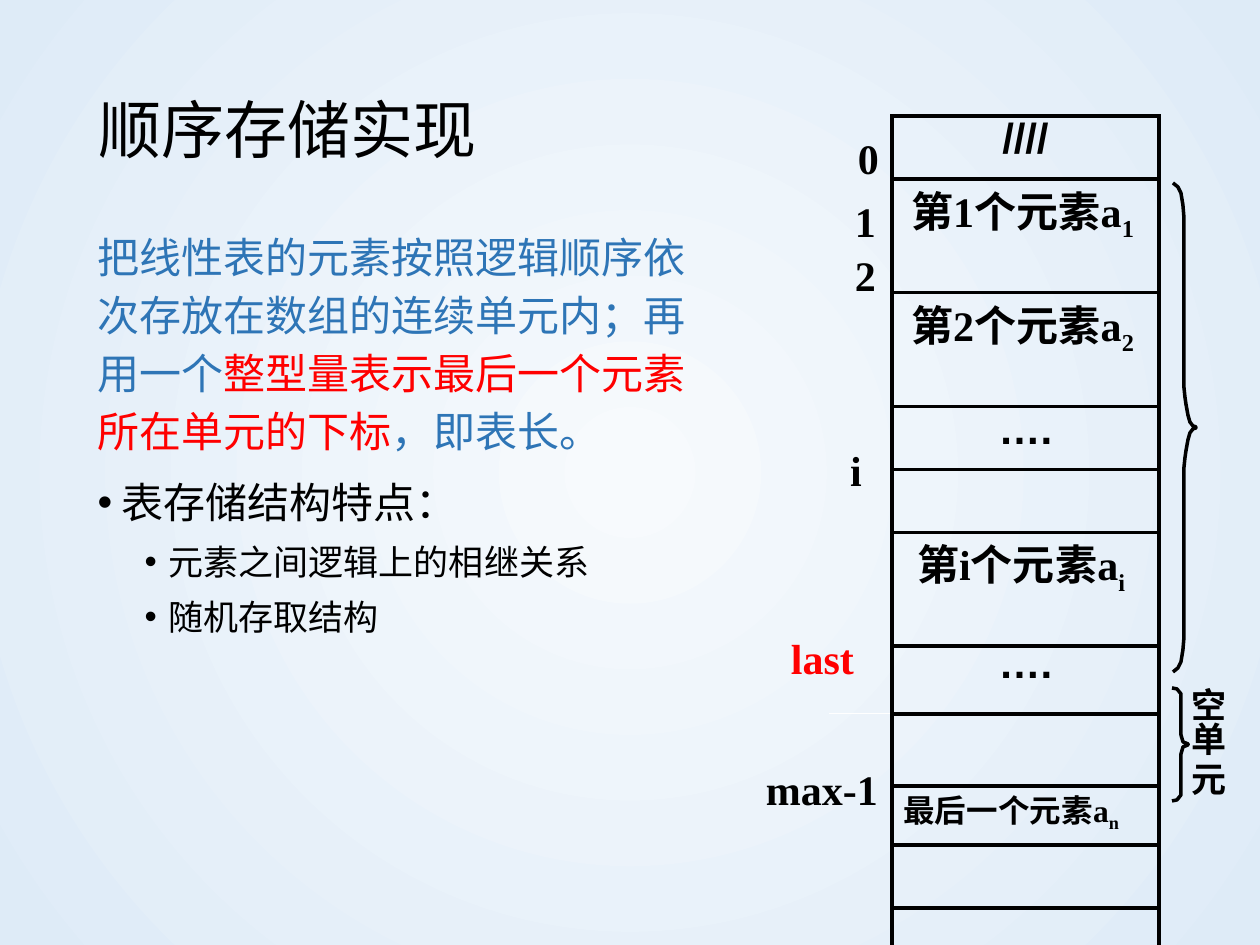
import pptx
import pptx.dml.color
import pptx.enum.text
import pptx.oxml
import pptx.oxml.ns
import pptx.util
from lxml import etree

PX = 914400 / 126
BLACK, RED, BLUE, WHITE = "000000", "FF0000", "2E75B6", "FFFFFF"
SANS, CJK, SERIF = "Arial", "Noto Sans CJK SC", "Times New Roman"
LEFT, CENTER = pptx.enum.text.PP_ALIGN.LEFT, pptx.enum.text.PP_ALIGN.CENTER

# Content: paragraphs are (runs, format), runs are (text, format)
TITLE = "顺序存储实现"
BODY = [
    ([("把线性表的元素按照逻辑顺序依次存放在数组的连续单元内；再用一个", {"color": BLUE}),
      ("整型量表示最后一个元素所在单元的下标", {"color": RED}),
      ("，即表长。", {"color": BLUE})], {"before": 0}),
    ([("表存储结构特点：", {})], {"indent": 24, "hang": 24, "bullet": "•"}),
] + [
    ([(text, {})], {"level": 1, "size": 20, "indent": 71, "hang": 24,
                    "before": 3.8, "bullet": "•"})
    for text in ("元素之间逻辑上的相继关系", "随机存取结构")
]


def element(index, indent):
    return ([("第", {"font": CJK}), (index, {}), ("个元素", {"font": CJK, "spc": 10}),
             ("a", {"spc": 10}), (index, {"base": -24000})], {"indent": indent})


DOTS = [("….", {"font": SANS})]
LAST = [("最后一个元素", {"font": CJK, "spc": 10}), ("a", {"spc": -10}),
        ("n", {"base": -23000})]
# Array cells: (row height, paragraph)
CELLS = [
    (63, ([("////", {"font": SANS, "spc": -10})], {"align": CENTER})),
    (63, element("1", 19)),
    (63, element("2", 19)),
    (63, (DOTS, {"align": CENTER})),
    (63, None),
    (63, element("i", 25)),
    (68, (DOTS, {"align": CENTER, "line": pptx.util.Pt(23.4)})),
    (72, None),
    (59, (LAST, {"indent": 11, "size": 18})),
    (63, None),
    (63, None),
]
LAST_ROW = 7  # the blank column splits above this row
WRAP_GAP = 8  # right margin that sends each element's symbol to its second line

# Labels: (box, [(text, format), ...])
FREE = {"font": CJK, "size": 20, "spc": -20}
LABELS = [
    ((854, 132, 27, 170), [("0", {"indent": 4}), ("1", {"before": 7.6}),
                           ("2", {"before": 1.9})]),
    ((790, 633, 67, 50), [("last", {"color": RED})]),
    ((849, 445, 16, 50), [("i", {})]),
    ((765, 764, 116, 50), [("max-1", {})]),
    ((1191, 758, 39, 43), [("元", {"line": pptx.util.Pt(23.8), **FREE})]),
    ((1191, 692, 39, 67), [("空 单", {"line": pptx.util.Pt(19.3), **FREE})]),
]
# Braces: (left, top, height, upper half of the outline); the lower half mirrors it
BRACES = [
    (1173, 183, 489, [(0, 0), (5, 4), (8, 10), (9, 16), (10, 22), (11, 34), (11, 204),
                      (12, 214), (13, 221), (15, 232), (17, 239), (20, 243), (23, 244)]),
    (1172, 688, 113, [(0, 0), (5, 1), (9, 6), (9, 47), (11, 54), (16, 56)]),
]


def px(*lengths):
    return [round(length * PX) for length in lengths]


def rgb(color):
    return pptx.dml.color.RGBColor.from_string(color)


def write(paragraph, text, font=SERIF, size=24, color=BLACK, bold=True, spc=0, base=0):
    run = paragraph.add_run()
    run.text = text
    run.font.name, run.font.size, run.font.bold = font, pptx.util.Pt(size), bold
    run.font.color.rgb = rgb(color)
    props = run.font._element
    etree.SubElement(props, pptx.oxml.ns.qn("a:ea"), typeface=font)
    props.set("spc", str(spc))
    if base:
        props.set("baseline", str(base))


def layout(paragraph, indent=0, hang=0, level=0, bullet=None, align=LEFT, line=1.0, before=0):
    props = paragraph._p.get_or_add_pPr()
    left, first = px(indent, -hang)
    props.set("marL", str(left))
    props.set("indent", str(first))
    if bullet:
        etree.SubElement(props, pptx.oxml.ns.qn("a:buChar"), char=bullet)
    else:
        etree.SubElement(props, pptx.oxml.ns.qn("a:buNone"))
    paragraph.level, paragraph.alignment = level, align
    paragraph.line_spacing = line
    paragraph.space_before = pptx.util.Pt(before)


def fill_frame(frame, paragraphs, **defaults):
    run_keys = ("font", "size", "color", "bold", "spc", "base")
    for number, (runs, own) in enumerate(paragraphs):
        paragraph = frame.add_paragraph() if number else frame.paragraphs[0]
        style = {**defaults, **own}
        layout(paragraph, **{k: v for k, v in style.items() if k not in run_keys})
        shared = {k: v for k, v in style.items() if k in run_keys}
        for text, run_style in runs:
            write(paragraph, text, **{**shared, **run_style})


def no_margins(holder):
    holder.margin_left = holder.margin_top = holder.margin_right = holder.margin_bottom = 0


def border(cell, **sides):
    """Each side is (colour, points); sides left out have no line."""
    props = cell._tc.get_or_add_tcPr()
    for number, side in enumerate(("L", "R", "T", "B")):
        color, points = sides.get(side, (None, 0))
        line = etree.Element(pptx.oxml.ns.qn("a:ln" + side), w=str(pptx.util.Pt(points)))
        if color:
            solid = etree.SubElement(line, pptx.oxml.ns.qn("a:solidFill"))
            etree.SubElement(solid, pptx.oxml.ns.qn("a:srgbClr"), val=color)
        else:
            etree.SubElement(line, pptx.oxml.ns.qn("a:noFill"))
        props.insert(number, line)


def add_background(slide):
    stops = "".join(f'<a:gs pos="{pos}"><a:srgbClr val="{color}"/></a:gs>'
                    for pos, color in ((0, "F7FAFD"), (100000, "DEEBF7")))
    slide._element.cSld.insert(0, pptx.oxml.parse_xml(
        f'<p:bg {pptx.oxml.ns.nsdecls("p", "a")}><p:bgPr><a:gradFill><a:gsLst>{stops}</a:gsLst>'
        '<a:path path="circle"><a:fillToRect l="50000" t="50000" r="50000" b="50000"/></a:path>'
        '</a:gradFill><a:effectLst/></p:bgPr></p:bg>'))


def add_array(slide):
    heights = [height for height, _ in CELLS]
    table = slide.shapes.add_table(len(CELLS), 2, *px(829, 116, 330, sum(heights))).table
    table.first_row = table.horz_banding = False
    table.columns[0].width, table.columns[1].width = px(63, 267)
    thick, thin, pale = (BLACK, 2.25), (BLACK, 2), (WHITE, 0.75)
    for row, (height, paragraph) in enumerate(CELLS):
        table.rows[row].height = px(height)[0]
        blank, cell = table.cell(row, 0), table.cell(row, 1)
        blank.fill.background()
        cell.fill.background()
        edges = {"T": pale} if row == LAST_ROW else {"B": pale} if row == LAST_ROW - 1 else {}
        border(blank, R=thin, **edges)
        border(cell, L=thin, R=thick, T=thick, B=thick)
        if paragraph:
            no_margins(cell)
            if "indent" in paragraph[1]:
                cell.margin_right = px(WRAP_GAP)[0]
            fill_frame(cell.text_frame, [paragraph])
    table.cell(0, 0).merge(table.cell(LAST_ROW - 1, 0))
    table.cell(LAST_ROW, 0).merge(table.cell(len(CELLS) - 1, 0))


def add_brace(slide, left, top, height, upper):
    lower = [(x, height - y) for x, y in reversed(upper)]
    points = [(left + x, top + y) for x, y in upper + lower]
    builder = slide.shapes.build_freeform(*points[0], scale=PX)
    builder.add_line_segments(points[1:], close=False)
    brace = builder.convert_to_shape()
    brace.shadow.inherit = False
    brace.fill.background()
    brace.line.color.rgb = rgb(BLACK)
    brace.line.width = pptx.util.Pt(2)


def main():
    deck = pptx.Presentation()
    deck.slide_width, deck.slide_height = px(1260, 945)
    slide = deck.slides.add_slide(deck.slide_layouts[1])
    add_background(slide)

    # Title and body
    title, body = slide.placeholders
    title.left, title.top, title.width, title.height = px(86, 29, 1086, 183)
    body.left, body.top, body.width, body.height = px(85, 218, 651, 600)
    plain = {"font": SANS, "bold": False}
    fill_frame(title.text_frame, [([(TITLE, {})], {})], size=36, line=1.2, **plain)
    fill_frame(body.text_frame, BODY, line=1.15, before=7.5, **plain)
    title.text_frame.vertical_anchor = pptx.enum.text.MSO_ANCHOR.MIDDLE
    for holder in (title, body):
        holder.text_frame.auto_size = pptx.enum.text.MSO_AUTO_SIZE.NONE

    # Array with its index labels and braces
    add_array(slide)
    for box, lines in LABELS:
        frame = slide.shapes.add_textbox(*px(*box)).text_frame
        frame.word_wrap = True
        frame.auto_size = pptx.enum.text.MSO_AUTO_SIZE.SHAPE_TO_FIT_TEXT
        no_margins(frame)
        fill_frame(frame, [([(text, {})], style) for text, style in lines], indent=1)
    for brace in BRACES:
        add_brace(slide, *brace)

    deck.save("out.pptx")


if __name__ == "__main__":
    main()
